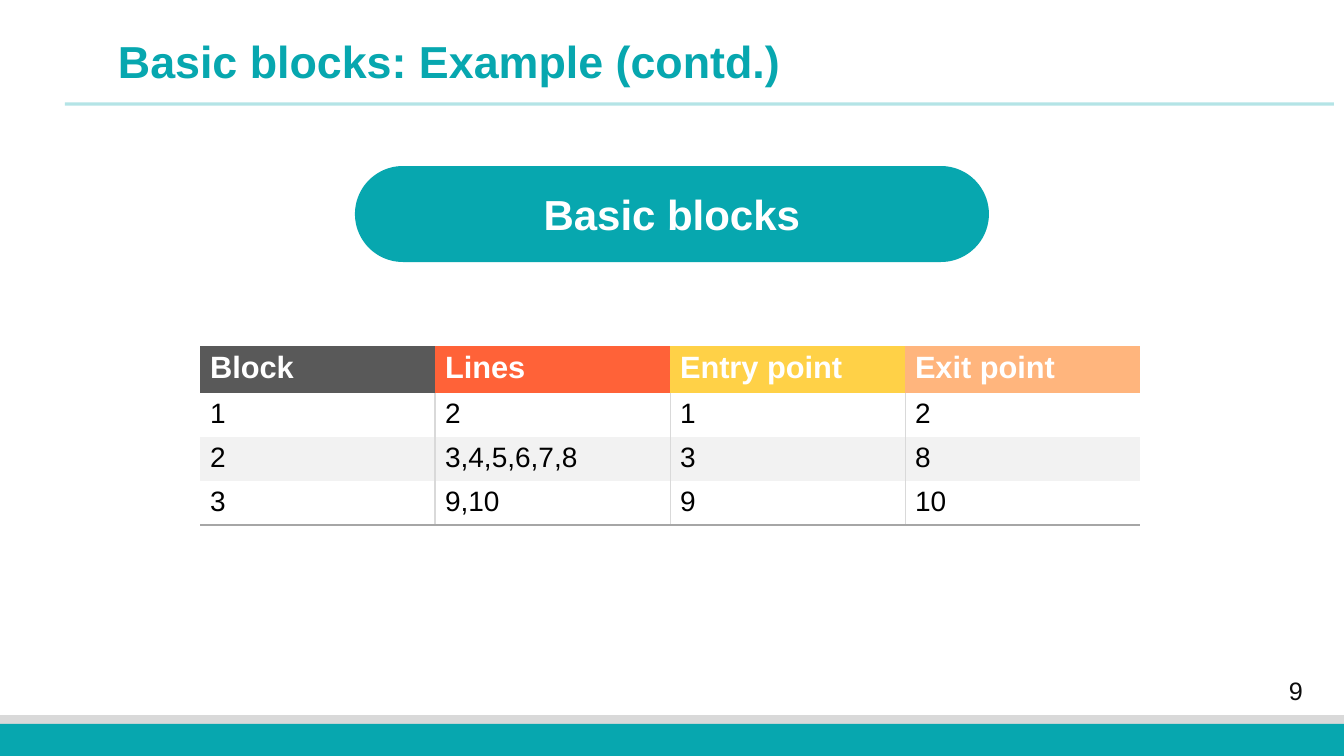
"""Build the basic blocks example slide with its table of entry and exit points."""
from dataclasses import dataclass

from lxml.etree import SubElement
from pptx import Presentation
from pptx.dml.color import RGBColor
from pptx.enum.shapes import MSO_CONNECTOR, MSO_SHAPE
from pptx.enum.text import MSO_ANCHOR, PP_ALIGN
from pptx.oxml.ns import qn
from pptx.util import Emu, Pt

SLIDE_WIDTH, SLIDE_HEIGHT = 1344, 756


def px(length: int) -> Emu:
    return Emu(round(length * 12192000 / SLIDE_WIDTH))


@dataclass(frozen=True)
class Theme:
    font: str = "Arial"
    teal: str = "07A7AF"
    grey: str = "D9D9D9"
    white: str = "FFFFFF"
    band: str = "F2F2F2"
    ink: str = "000000"
    number_ink: str = "0D0D0D"
    table_edge: str = "A6A6A6"
    title_size: int = 32
    pill_size: int = 30
    header_size: int = 22
    cell_size: int = 20
    number_size: int = 18


THEME = Theme()


@dataclass(frozen=True)
class Box:
    left: int
    top: int
    width: int
    height: int

    def emu(self) -> tuple[Emu, ...]:
        return tuple(px(n) for n in (self.left, self.top, self.width, self.height))


@dataclass(frozen=True)
class TextStyle:
    size: int
    color: str
    bold: bool = False
    align: PP_ALIGN = PP_ALIGN.LEFT
    spacing: float = 1.0


@dataclass(frozen=True)
class Bar:
    box: Box
    color: str


@dataclass(frozen=True)
class Label:
    text: str
    box: Box
    style: TextStyle
    anchor: MSO_ANCHOR


@dataclass(frozen=True)
class Column:
    heading: str
    color: str
    values: tuple[str, ...]


BARS = (
    Bar(Box(0, 715, SLIDE_WIDTH, 41), THEME.grey),
    Bar(Box(0, 724, SLIDE_WIDTH, 32), THEME.teal),
)
LABELS = (
    Label("9", Box(1250, 671, 92, 39),
          TextStyle(THEME.number_size, THEME.number_ink, align=PP_ALIGN.CENTER), MSO_ANCHOR.MIDDLE),
    Label("Basic blocks: Example (contd.)", Box(108, 35, 1236, 48),
          TextStyle(THEME.title_size, THEME.teal, True, spacing=0.9), MSO_ANCHOR.TOP),
)
COLUMNS = (
    Column("Block", "595959", ("1", "2", "3")),
    Column("Lines", "FF6238", ("2", "3,4,5,6,7,8", "9,10")),
    Column("Entry point", "FFD147", ("1", "3", "9")),
    Column("Exit point", "FFB57D", ("2", "8", "10")),
)
COLUMN_WIDTH, HEADER_HEIGHT, ROW_HEIGHT = 235, 45, 44
DIVIDER_WIDTHS = (1, 0.5, 0.5)


def apply_format(target, values: dict) -> None:
    for attribute, value in values.items():
        setattr(target, attribute, value)


def write(frame, text: str, style: TextStyle) -> None:
    paragraph = frame.paragraphs[0]
    apply_format(paragraph, {"alignment": style.align, "line_spacing": style.spacing})
    run = paragraph.add_run()
    run.text = text
    apply_format(run.font, {"name": THEME.font, "size": Pt(style.size), "bold": style.bold})
    run.font.color.rgb = RGBColor.from_string(style.color)


def paint(target, color: str) -> None:
    target.fill.solid()
    target.fill.fore_color.rgb = RGBColor.from_string(color)


def add_filled(slide, preset: MSO_SHAPE, box: Box, color: str):
    shape = slide.shapes.add_shape(preset, *box.emu())
    shape.shadow.inherit = False
    paint(shape, color)
    shape.line.fill.background()
    return shape


def add_title_rule(slide) -> None:
    rule = slide.shapes.add_connector(
        MSO_CONNECTOR.STRAIGHT, px(65), px(104), px(1334), px(104))
    rule.line.width = Pt(2.25)
    rule.line.color.rgb = RGBColor.from_string(THEME.teal)
    properties = rule._element.spPr
    tint = properties.find(".//" + qn("a:srgbClr"))
    SubElement(tint, qn("a:alpha"), val="30000")
    SubElement(properties, qn("a:effectLst"))


def add_label(slide, label: Label) -> None:
    frame = slide.shapes.add_textbox(*label.box.emu()).text_frame
    apply_format(frame, {"word_wrap": True, "vertical_anchor": label.anchor})
    write(frame, label.text, label.style)


def add_pill(slide) -> None:
    pill = add_filled(slide, MSO_SHAPE.ROUNDED_RECTANGLE, Box(355, 166, 634, 96), THEME.teal)
    pill.adjustments[0] = 0.5
    apply_format(pill.text_frame, {
        "margin_left": 0, "margin_top": px(4), "margin_right": 0, "margin_bottom": px(5),
        "vertical_anchor": MSO_ANCHOR.MIDDLE, "word_wrap": True,
    })
    write(pill.text_frame, "Basic blocks",
          TextStyle(THEME.pill_size, THEME.white, True, PP_ALIGN.CENTER))


def set_borders(cell, borders: dict[str, tuple[str, float]]) -> None:
    properties = cell._tc.get_or_add_tcPr()
    for side in "LRTB":
        color, width = borders.get(side, ("", 0))
        edge = SubElement(properties, qn(f"a:ln{side}"), w=str(Pt(width)))
        if color:
            SubElement(SubElement(edge, qn("a:solidFill")), qn("a:srgbClr"), val=color)
        else:
            SubElement(edge, qn("a:noFill"))


def cell_borders(row: int, column: int, last_row: int) -> dict[str, tuple[str, float]]:
    borders = {}
    if row and column:
        borders["L"] = (THEME.grey, DIVIDER_WIDTHS[column - 1])
    if row and column < len(DIVIDER_WIDTHS):
        borders["R"] = (THEME.grey, DIVIDER_WIDTHS[column])
    if row == last_row:
        borders["B"] = (THEME.table_edge, 1)
    return borders


def add_block_table(slide) -> None:
    last_row = len(COLUMNS[0].values)
    box = Box(200, 346, COLUMN_WIDTH * len(COLUMNS), HEADER_HEIGHT + ROW_HEIGHT * last_row)
    table = slide.shapes.add_table(last_row + 1, len(COLUMNS), *box.emu()).table
    apply_format(table, {"first_row": False, "horz_banding": False})
    for row, table_row in enumerate(table.rows):
        table_row.height = px(ROW_HEIGHT if row else HEADER_HEIGHT)
    header = TextStyle(THEME.header_size, THEME.white, True)
    body = TextStyle(THEME.cell_size, THEME.ink)
    for index, column in enumerate(COLUMNS):
        table.columns[index].width = px(COLUMN_WIDTH)
        for row, text in enumerate((column.heading, *column.values)):
            cell = table.cell(row, index)
            set_borders(cell, cell_borders(row, index, last_row))
            band = THEME.white if row % 2 else THEME.band
            paint(cell, band if row else column.color)
            write(cell.text_frame, text, body if row else header)


def main() -> None:
    deck = Presentation()
    apply_format(deck, {"slide_width": px(SLIDE_WIDTH), "slide_height": px(SLIDE_HEIGHT)})
    slide = deck.slides.add_slide(deck.slide_layouts[6])
    for bar in BARS:
        add_filled(slide, MSO_SHAPE.RECTANGLE, bar.box, bar.color)
    add_title_rule(slide)
    for label in LABELS:
        add_label(slide, label)
    add_pill(slide)
    add_block_table(slide)
    deck.save("out.pptx")


if __name__ == "__main__":
    main()
